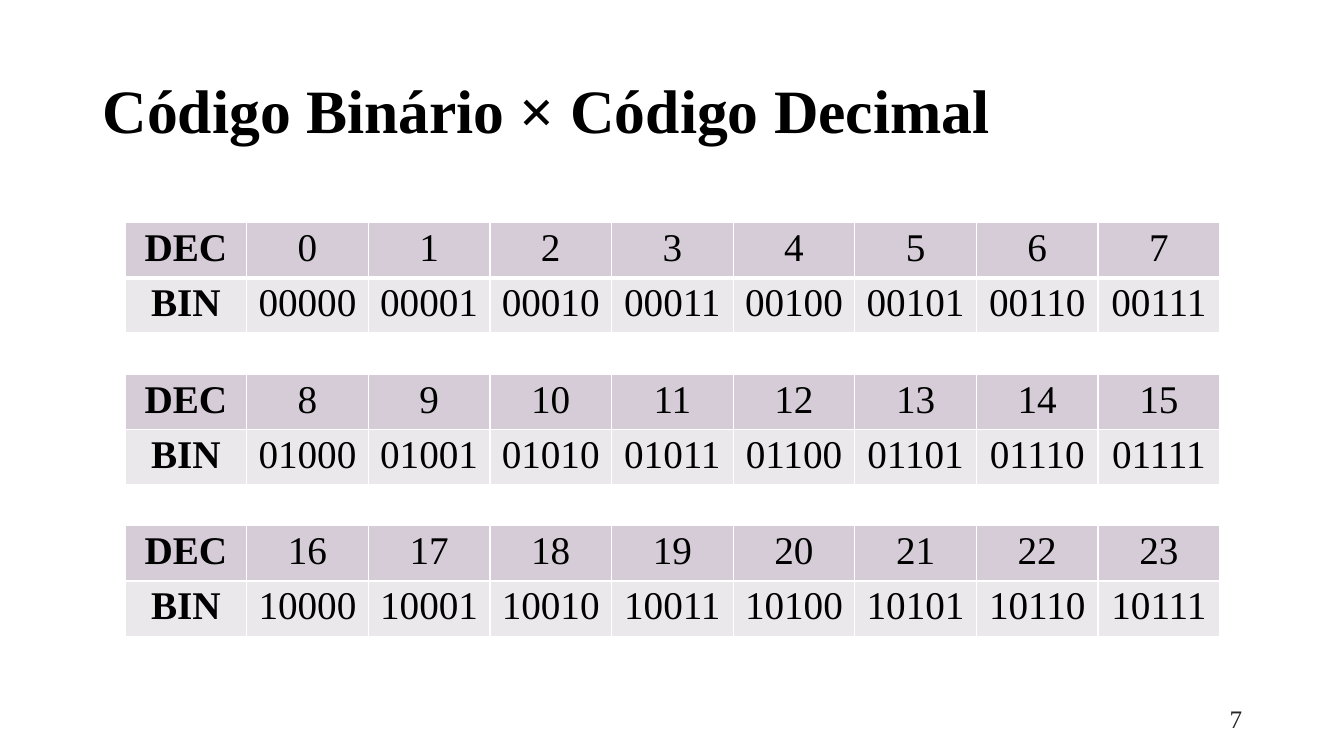
from lxml import etree
from pptx import Presentation
from pptx.dml.color import RGBColor
from pptx.enum.text import MSO_ANCHOR, PP_ALIGN
from pptx.oxml.ns import qn
from pptx.util import Inches, Pt

LEFT, RIGHT, CENTER = PP_ALIGN.LEFT, PP_ALIGN.RIGHT, PP_ALIGN.CENTER
MIDDLE = MSO_ANCHOR.MIDDLE

FONT = "Times New Roman"
BLACK, GREY, WHITE = "000000", "262626", "FFFFFF"
DECIMAL_FILL, BINARY_FILL = "D5CCD7", "EBE8EC"

BLOCKS = 3
VALUES_PER_BLOCK = 8
BLOCK_ROWS = 3  # decimal, binary, gap
ROW_HEIGHT, GAP_HEIGHT = 0.53, 0.41
TABLE_LEFT, TABLE_TOP, TABLE_WIDTH = 1.24, 2.21, 10.86


def color(hex_string):
    return RGBColor.from_string(hex_string)


def format_paragraph(paragraph, size, bold, hex_color, alignment):
    paragraph.alignment = alignment
    for run in paragraph.runs:
        run.font.name = FONT
        run.font.size = Pt(size)
        run.font.bold = bold
        run.font.color.rgb = color(hex_color)


def add_label(slide, box, text, size, bold, hex_color, alignment):
    shape = slide.shapes.add_textbox(*(Inches(length) for length in box))
    frame = shape.text_frame
    frame.word_wrap = True
    frame.vertical_anchor = MIDDLE
    frame.text = text
    paragraph = frame.paragraphs[0]
    paragraph.line_spacing = 0.9
    format_paragraph(paragraph, size, bold, hex_color, alignment)


def set_borders(cell, top=1, bottom=1):
    """Draw white cell borders, with widths in points."""
    properties = cell._tc.get_or_add_tcPr()
    for side, width in (("L", 1), ("R", 1), ("T", top), ("B", bottom)):
        line = etree.SubElement(properties, qn(f"a:ln{side}"), w=str(Pt(width)))
        fill = etree.SubElement(line, qn("a:solidFill"))
        etree.SubElement(fill, qn("a:srgbClr"), val=WHITE)


def fill_row(table, row, texts, fill, **borders):
    for column, text in enumerate(texts):
        cell = table.cell(row, column)
        cell.text = text
        cell.margin_top = cell.margin_bottom = Inches(0.04)
        format_paragraph(cell.text_frame.paragraphs[0], 28, column == 0, BLACK, CENTER)
        set_borders(cell, **borders)
        cell.fill.solid()
        cell.fill.fore_color.rgb = color(fill)


def clear_row(table, row):
    table.rows[row].height = Inches(GAP_HEIGHT)
    for cell in table.rows[row].cells:
        cell.fill.background()


def add_code_table(slide):
    row_count = BLOCKS * BLOCK_ROWS - 1
    columns = VALUES_PER_BLOCK + 1
    frame = slide.shapes.add_table(
        row_count, columns, Inches(TABLE_LEFT), Inches(TABLE_TOP),
        Inches(TABLE_WIDTH), Inches(ROW_HEIGHT * row_count))
    table = frame.table
    table.first_row = table.horz_banding = False
    for block in range(BLOCKS):
        row = block * BLOCK_ROWS
        first = block * VALUES_PER_BLOCK
        values = range(first, first + VALUES_PER_BLOCK)
        divider = 3 if block == 0 else 1
        fill_row(table, row, ["DEC", *map(str, values)], DECIMAL_FILL, bottom=divider)
        fill_row(table, row + 1, ["BIN", *(f"{value:05b}" for value in values)],
                 BINARY_FILL, top=divider)
        if block < BLOCKS - 1:
            clear_row(table, row + 2)
    frame.height = sum(row.height for row in table.rows)


def main():
    presentation = Presentation()
    presentation.slide_width = Inches(13.33)
    presentation.slide_height = Inches(7.5)
    slide = presentation.slides.add_slide(presentation.slide_layouts[6])
    add_label(slide, (0.92, 0.4, 11.5, 1.45), "Código Binário × Código Decimal",
              44, True, BLACK, LEFT)
    add_code_table(slide)
    add_label(slide, (9.42, 6.95, 3, 0.4), "7", 18, False, GREY, RIGHT)
    presentation.save("out.pptx")


if __name__ == "__main__":
    main()
